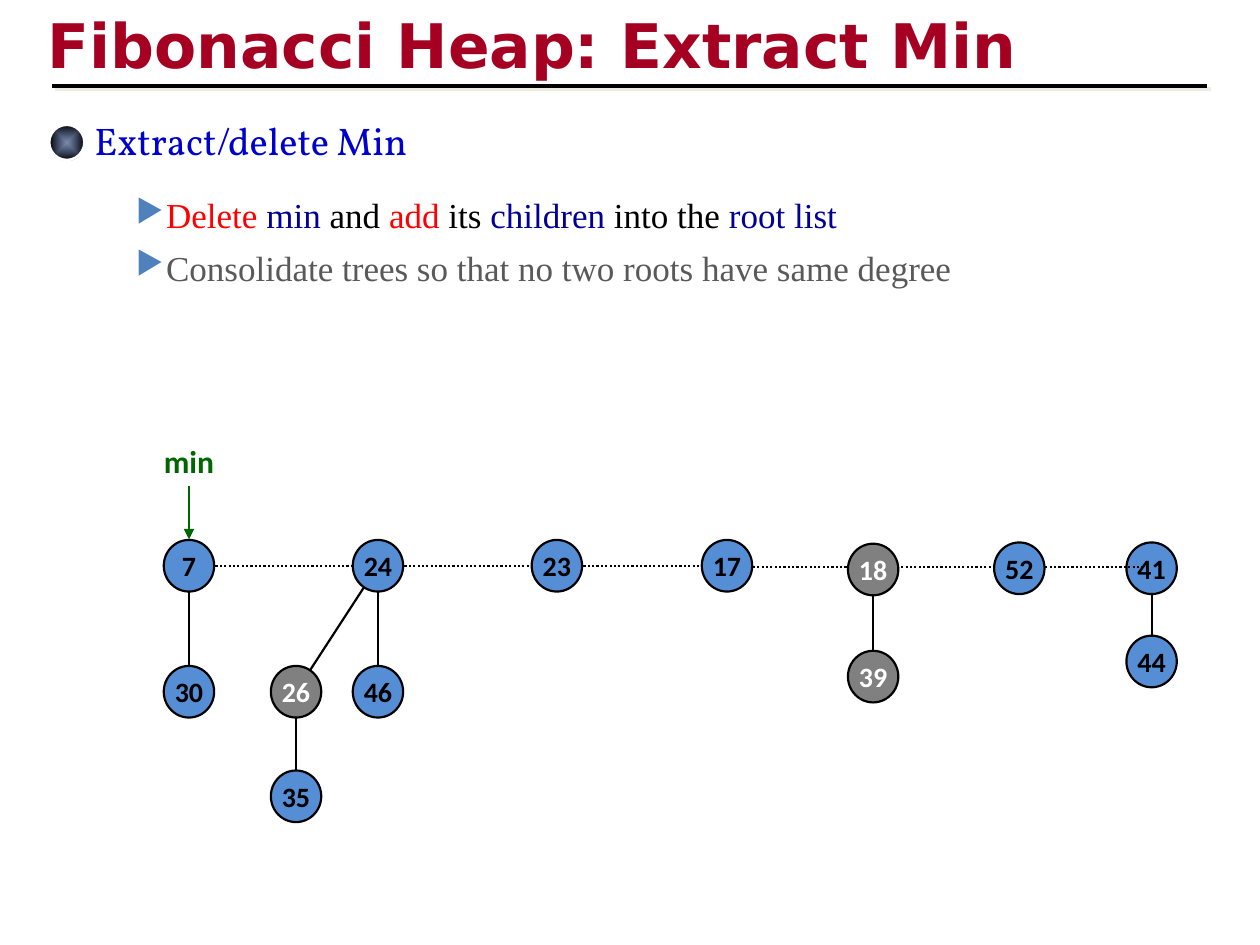
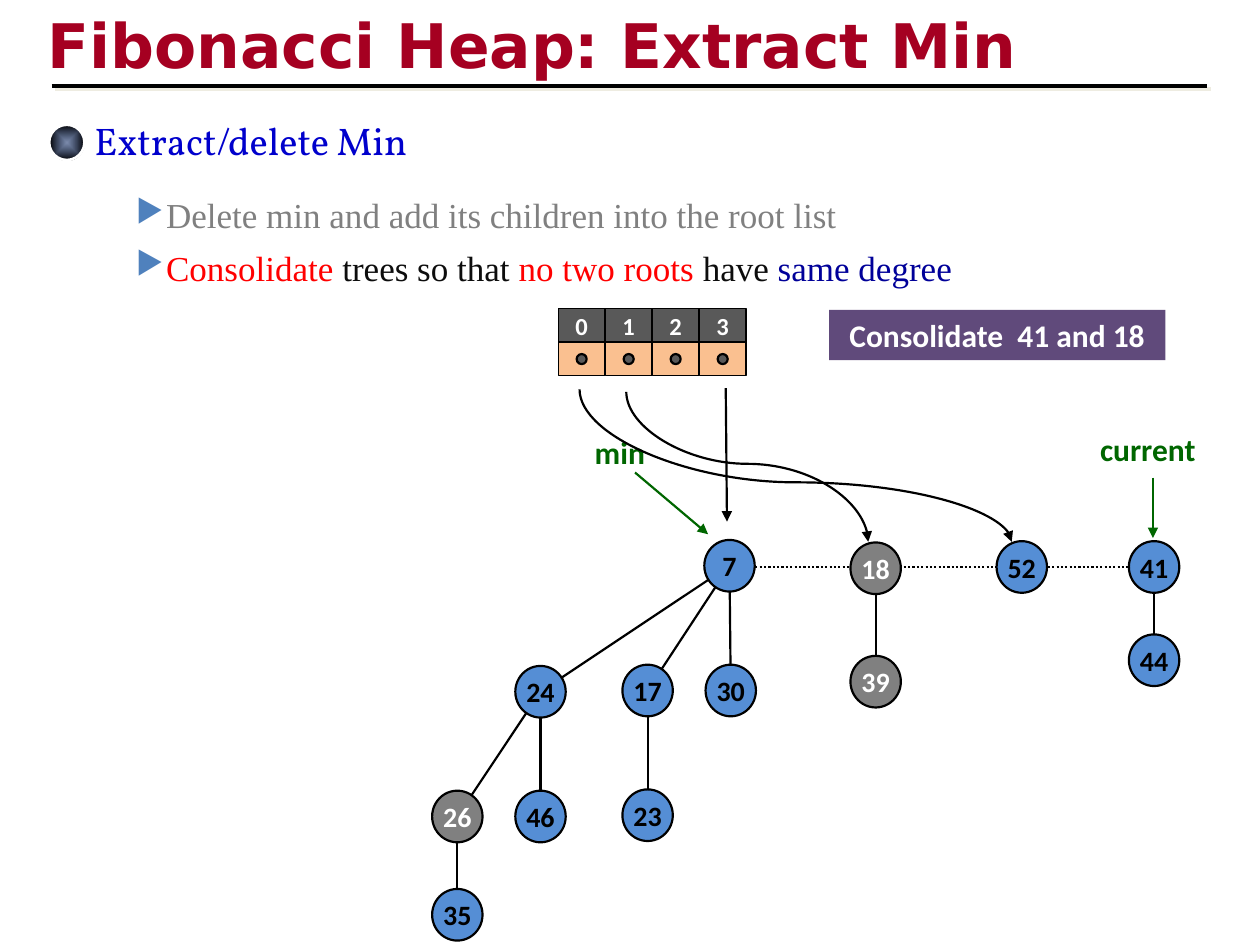
from math import hypot

from lxml.etree import SubElement
from pptx import Presentation
from pptx.dml.color import RGBColor
from pptx.enum.dml import MSO_LINE_DASH_STYLE as DASH
from pptx.enum.shapes import MSO_CONNECTOR as LINK, MSO_SHAPE as SHAPE
from pptx.enum.text import MSO_ANCHOR as ANCHOR, MSO_AUTO_SIZE as FIT, PP_ALIGN as ALIGN
from pptx.oxml.ns import qn
from pptx.util import Inches, Pt

TITLE_ONLY = 5
CRIMSON = RGBColor(0xA5, 0x00, 0x21)
BLUE = RGBColor(0x00, 0x00, 0xCC)
NAVY = RGBColor(0x00, 0x00, 0x99)
MIDNIGHT = RGBColor(0x00, 0x20, 0x60)
RED = RGBColor(0xFF, 0x00, 0x00)
GREEN = RGBColor(0x00, 0x66, 0x00)
BLACK = RGBColor(0x00, 0x00, 0x00)
SOFT_BLACK = RGBColor(0x0D, 0x0D, 0x0D)
WHITE = RGBColor(0xFF, 0xFF, 0xFF)
GRAY = RGBColor(0x80, 0x80, 0x80)
DARK_GRAY = RGBColor(0x59, 0x59, 0x59)
NODE_BLUE = RGBColor(0x55, 0x8E, 0xD5)
PEACH = RGBColor(0xFA, 0xC0, 0x90)
PURPLE = RGBColor(0x60, 0x4A, 0x7B)

NODE_W, NODE_H = 0.4, 0.41
MARKED = {"18", "26", "39"}

# Node centres, (parent, child) edges and dotted root-list links
DELETE_NODES = {
    "7": (1.5, 4.49), "30": (1.5, 5.49), "24": (3, 4.49), "26": (2.35, 5.49),
    "46": (3, 5.49), "35": (2.35, 6.32), "23": (4.42, 4.49), "17": (5.77, 4.49),
    "18": (6.93, 4.52), "39": (6.93, 5.37), "52": (8.09, 4.51),
}
DELETE_EDGES = [("7", "30"), ("24", "26"), ("24", "46"), ("26", "35"), ("18", "39")]
LAST_TREE = {"41": (9.14, 4.51), "44": (9.14, 5.25)}
DELETE_ROOTS = [(1.71, 2.8, 4.49), (3.21, 4.21, 4.49), (4.63, 5.56, 4.49),
                (5.94, 9.1, 4.5)]

MERGE_NODES = {
    "7": (5.79, 4.49), "24": (4.29, 5.49), "17": (5.14, 5.48), "30": (5.8, 5.48),
    "26": (3.63, 6.48), "46": (4.29, 6.48), "35": (3.63, 7.26), "23": (5.14, 6.47),
    "18": (6.95, 4.51), "39": (6.95, 5.41), "52": (8.11, 4.5),
    "41": (9.16, 4.5), "44": (9.16, 5.24),
}
MERGE_EDGES = [("7", "24"), ("7", "17"), ("7", "30"), ("24", "26"), ("24", "46"),
               ("26", "35"), ("17", "23"), ("18", "39"), ("41", "44")]
MERGE_ROOTS = [(5.96, 9.12, 4.5)]

# Bullet lines as (text, colour) spans
DELETE_STEPS = [
    [("Delete ", RED), ("min", NAVY), (" and ", BLACK), ("add", RED), (" its ", BLACK),
     ("children", NAVY), (" into the ", BLACK), ("root list", NAVY)],
    [("Consolidate trees so that no two roots have same degree", DARK_GRAY)],
]
MERGE_STEPS = [
    [("Delete min and add its children into the root list", GRAY)],
    [("Consolidate", RED), (" trees so that ", SOFT_BLACK), ("no two roots ", RED),
     ("have ", SOFT_BLACK), ("same degree", NAVY)],
]


def add_span(para, text, color, **formats):
    span = para.add_run()
    span.text = text
    span.font.color.rgb = color
    for name, value in formats.items():
        setattr(span.font, name, value)
    return span


def add_beige_shadow(effects):
    shadow = SubElement(effects, qn("a:outerShdw"), dist="35560", dir="2700000",
                        algn="ctr", rotWithShape="0")
    SubElement(shadow, qn("a:srgbClr"), val="EEECE1")


def add_line(page, start, end, color=BLACK, width=1.25, dash=None, arrow=False,
             kind=LINK.STRAIGHT):
    line = page.shapes.add_connector(kind, *[Inches(v) for v in (*start, *end)])
    line.line.color.rgb = color
    line.line.width = Pt(width)
    if dash:
        line.line.dash_style = dash
    if arrow:
        SubElement(line.line._get_or_add_ln(), qn("a:tailEnd"), type="triangle")
    SubElement(line._element.spPr, qn("a:effectLst"))
    return line


def add_curve(page, start, end, bend):
    """S-curve that leaves and arrives vertically: a rotated, mirrored connector."""
    (x1, y1), (x2, y2) = start, end
    mid_x, mid_y = (x1 + x2) / 2, (y1 + y2) / 2
    half_w, half_h = (y2 - y1) / 2, (x2 - x1) / 2
    curve = add_line(page, (mid_x + half_w, mid_y - half_h),
                     (mid_x - half_w, mid_y + half_h), arrow=True, kind=LINK.CURVE)
    properties = curve._element.spPr
    properties.find(qn("a:xfrm")).set("rot", "16200000")
    geometry = properties.find(qn("a:prstGeom"))
    guides = geometry.find(qn("a:avLst"))
    if guides is None:
        guides = SubElement(geometry, qn("a:avLst"))
    SubElement(guides, qn("a:gd"), name="adj1", fmla=f"val {round(bend * 100000)}")


def add_figure(page, kind, left, top, width, height, fill=None, outline=None,
               weight=1.25, text="", color=BLACK, size=16, wrap=False):
    figure = page.shapes.add_shape(kind, *[Inches(v) for v in (left, top, width, height)])
    figure.shadow.inherit = False
    if fill is None:
        figure.fill.background()
    else:
        figure.fill.solid()
        figure.fill.fore_color.rgb = fill
    if outline is None:
        figure.line.fill.background()
    else:
        figure.line.color.rgb = outline
        figure.line.width = Pt(weight)
    if text:
        frame = figure.text_frame
        frame.word_wrap = wrap
        frame.vertical_anchor = ANCHOR.MIDDLE
        para = frame.paragraphs[0]
        para.alignment = ALIGN.CENTER
        add_span(para, text, color, name="Calibri", size=Pt(size), bold=True)
    return figure


def add_node(page, label, center):
    x, y = center
    marked = label in MARKED
    add_figure(page, SHAPE.OVAL, x - NODE_W / 2, y - NODE_H / 2, NODE_W, NODE_H,
               GRAY if marked else NODE_BLUE, BLACK, text=label,
               color=WHITE if marked else BLACK)


def add_edge(page, parent, child):
    """Join two nodes from rim to rim."""
    (x1, y1), (x2, y2) = parent, child
    reach = NODE_H / 2 / hypot(x2 - x1, y2 - y1)
    dx, dy = (x2 - x1) * reach, (y2 - y1) * reach
    add_line(page, (x1 + dx, y1 + dy), (x2 - dx, y2 - dy))


def add_heap(page, nodes, edges):
    for parent, child in edges:
        add_edge(page, nodes[parent], nodes[child])
    for label, center in nodes.items():
        add_node(page, label, center)


def add_root_links(page, links):
    for left, right, y in links:
        add_line(page, (left, y), (right, y), dash=DASH.ROUND_DOT)


def add_pointer(page, text, center, start, end):
    x, y = center
    add_figure(page, SHAPE.OVAL, x - NODE_W / 2, y - NODE_H / 2, NODE_W, NODE_H,
               text=text, color=GREEN, size=18)
    add_line(page, start, end, GREEN, arrow=True)


def add_title(page, text):
    title = page.shapes.title
    bounds = {"left": 0.28, "top": 0.01, "width": 8.5, "height": 0.67}
    for name, value in bounds.items():
        setattr(title, name, Inches(value))
    frame = title.text_frame
    frame.auto_size = FIT.NONE
    frame.vertical_anchor = ANCHOR.MIDDLE
    para = frame.paragraphs[0]
    para.alignment = ALIGN.LEFT
    span = add_span(para, text, CRIMSON, name="DejaVu Sans", size=Pt(35.1), bold=True)
    effects = SubElement(span.font._element, qn("a:effectLst"))
    add_beige_shadow(effects)
    span.font._element.find(qn("a:solidFill")).addnext(effects)
    rule = add_line(page, (0.41, 0.68), (9.58, 0.68), width=2.25)
    add_beige_shadow(rule._element.spPr.find(qn("a:effectLst")))


def add_text_box(page, left, top, width, height):
    box = page.shapes.add_textbox(*[Inches(v) for v in (left, top, width, height)])
    box.text_frame.word_wrap = True
    return box.text_frame


def add_heading(page, text):
    ball = add_figure(page, SHAPE.OVAL, 0.39, 0.99, 0.28, 0.28, outline=WHITE, weight=1.5)
    ball.fill.gradient()
    for stop, color in zip(ball.fill.gradient_stops, (MIDNIGHT, BLACK)):
        stop.color.rgb = color
    gradient = ball._element.spPr.find(qn("a:gradFill"))
    SubElement(next(gradient.iter(qn("a:srgbClr"))), qn("a:alpha"), val="51000")
    gradient.remove(gradient.find(qn("a:lin")))
    radial = SubElement(gradient, qn("a:path"), path="shape")
    SubElement(radial, qn("a:fillToRect"), l="50000", t="50000", r="50000", b="50000")
    frame = add_text_box(page, 0.65, 0.88, 6.99, 0.47)
    add_span(frame.paragraphs[0], text, BLUE, name="Vollkorn", size=Pt(22))


def add_steps(page, steps):
    frame = add_text_box(page, 0.98, 1.49, 8.74, 0.86)
    for index, spans in enumerate(steps):
        para = frame.add_paragraph() if index else frame.paragraphs[0]
        para.space_before = Pt(6)
        properties = para._p.get_or_add_pPr()
        properties.set("marL", str(Inches(0.24)))
        properties.set("indent", str(-Inches(0.24)))
        bullet_color = SubElement(properties, qn("a:buClr"))
        SubElement(bullet_color, qn("a:srgbClr"), val="4F81BD")
        SubElement(properties, qn("a:buSzPct"), val="90000")
        SubElement(properties, qn("a:buChar"), char="▶")
        for text, color in spans:
            add_span(para, text, color, name="Times New Roman", size=Pt(20))


def add_degree_array(page):
    cell_w, cell_h, dot = 0.373, 0.265, 0.08
    for degree in range(4):
        left = 4.43 + degree * cell_w
        add_figure(page, SHAPE.RECTANGLE, left, 2.45, cell_w, cell_h, DARK_GRAY, BLACK,
                   0.75, str(degree), WHITE, 14)
        add_figure(page, SHAPE.RECTANGLE, left, 2.45 + cell_h, cell_w, cell_h, PEACH,
                   BLACK, 0.75)
        add_figure(page, SHAPE.OVAL, left + (cell_w - dot) / 2, 2.81, dot, dot,
                   DARK_GRAY, BLACK)


def start_page(deck, steps):
    page = deck.slides.add_slide(deck.slide_layouts[TITLE_ONLY])
    add_title(page, "Fibonacci Heap: Extract Min")
    add_heading(page, "Extract/delete Min")
    add_steps(page, steps)
    return page


def main():
    deck = Presentation()
    deck.slide_width, deck.slide_height = Inches(10), Inches(7.5)

    # Delete min: its children join the root list
    page = start_page(deck, DELETE_STEPS)
    add_heap(page, LAST_TREE, [("41", "44")])
    add_root_links(page, DELETE_ROOTS)
    add_heap(page, DELETE_NODES, DELETE_EDGES)
    add_pointer(page, "min", (1.5, 3.66), (1.5, 3.86), (1.5, 4.28))

    # Consolidate: degree array points at the roots
    page = start_page(deck, MERGE_STEPS)
    add_root_links(page, MERGE_ROOTS)
    add_heap(page, MERGE_NODES, MERGE_EDGES)
    add_pointer(page, "min", (4.92, 3.59), (5.04, 3.75), (5.62, 4.24))
    add_pointer(page, "current", (9.11, 3.56), (9.15, 3.79), (9.15, 4.27))
    add_degree_array(page)
    add_line(page, (5.76, 3.08), (5.77, 4.14), arrow=True)
    add_curve(page, (4.97, 3.11), (6.89, 4.3), 0.48)
    add_curve(page, (4.6, 3.09), (8.03, 4.3), 0.61)
    add_figure(page, SHAPE.RECTANGLE, 6.58, 2.46, 2.67, 0.4, PURPLE,
               text="Consolidate  41 and 18", color=WHITE, size=18, wrap=True)

    deck.save("out.pptx")


if __name__ == "__main__":
    main()
